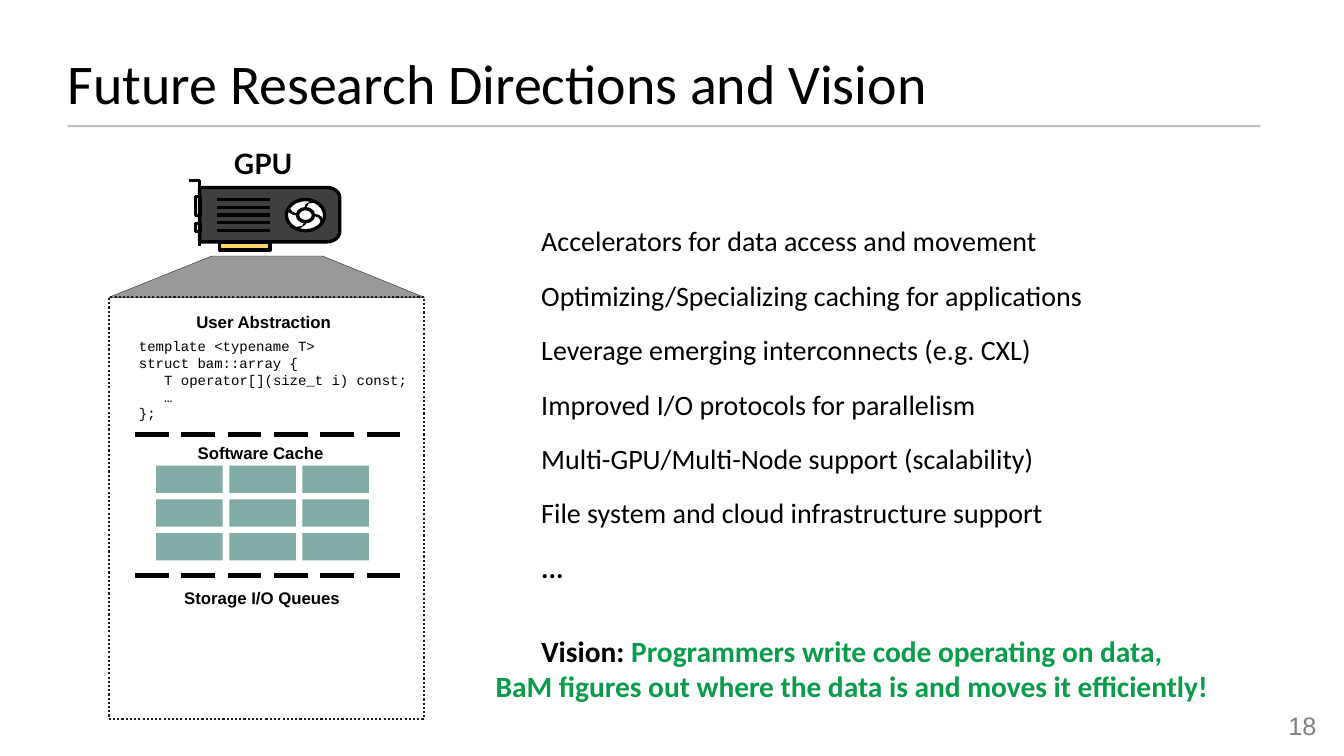
from math import cos, pi, sin

from lxml.etree import SubElement
from pptx import Presentation
from pptx.dml.color import RGBColor
from pptx.enum.dml import MSO_LINE
from pptx.enum.shapes import MSO_CONNECTOR, MSO_SHAPE
from pptx.enum.text import MSO_ANCHOR, MSO_AUTO_SIZE, PP_ALIGN
from pptx.oxml.ns import qn
from pptx.util import Inches, Pt

BLACK = RGBColor(0x00, 0x00, 0x00)
WHITE = RGBColor(0xFF, 0xFF, 0xFF)
GRAY = RGBColor(0x80, 0x80, 0x80)
CHARCOAL = RGBColor(0x1C, 0x1C, 0x1C)
CARD_GRAY = RGBColor(0x3F, 0x3F, 0x3F)
BEAM_GRAY = RGBColor(0x99, 0x99, 0x99)
CACHE_TEAL = RGBColor(0x81, 0xAC, 0xA6)
GOLD = RGBColor(0xFF, 0xD9, 0x65)
GREEN = RGBColor(0x08, 0x9C, 0x4B)
CARD_LINE = 2.38

presentation = Presentation()
presentation.slide_width = Inches(13.33)
presentation.slide_height = Inches(7.5)
slide = presentation.slides.add_slide(presentation.slide_layouts[5])


def add_text(box, lines, size, font="Calibri", bold=False, align=PP_ALIGN.LEFT, inset=0.1, shape=None):
    """Write lines, each a list of (text, colour) runs, into a text box or a given shape."""
    left, top, width, height = (Inches(value) for value in box)
    shape = shape or slide.shapes.add_textbox(left, top, width, height)
    shape.left, shape.top, shape.width, shape.height = left, top, width, height
    frame = shape.text_frame
    frame.word_wrap = True
    frame.auto_size = MSO_AUTO_SIZE.NONE
    frame.margin_left = frame.margin_right = Inches(inset)
    frame.margin_top = frame.margin_bottom = Inches(inset / 2)
    for index, runs in enumerate(lines):
        paragraph = frame.paragraphs[0] if index == 0 else frame.add_paragraph()
        paragraph.alignment = align
        for text, color in runs:
            run = paragraph.add_run()
            run.text = text
            run.font.name = font
            run.font.size = Pt(size)
            run.font.bold = bold
            run.font.color.rgb = color
    return frame


def style_shape(shape, fill, line, width, dash=None):
    """Set fill and outline; None leaves either one out."""
    shape.shadow.inherit = False
    if fill is None:
        shape.fill.background()
    else:
        shape.fill.solid()
        shape.fill.fore_color.rgb = fill
    if line is None:
        shape.line.fill.background()
    else:
        shape.line.color.rgb = line
        shape.line.width = Pt(width)
        shape.line.dash_style = dash


# Title
title_frame = add_text((0.67, 0.31, 12.42, 1), [[("Future Research Directions and Vision", BLACK)]],
                       40, inset=0, shape=slide.shapes.title)
title_frame.vertical_anchor = MSO_ANCHOR.MIDDLE

# Outlines: beam below the card, card body, mounting bracket, fan blades
beam = [(4.21, 2.95), (1.08, 2.95), (2.1, 2.54), (3.2, 2.54)]
corners = [(3.24, 2.3, pi / 2), (3.24, 1.96, 0)]
card = [(1.98, 1.86), (1.98, 2.4)]
for center_x, center_y, start in corners:
    angles = [start - step * pi / 12 for step in range(7)]
    card += [(center_x + 0.13 * cos(angle), center_y + 0.1 * sin(angle)) for angle in angles]
bracket = [(1.98, 2.44), (1.98, 1.79), (1.87, 1.79)]
right_blade = [(3.17, 2.22), (3.19, 2.23), (3.21, 2.19), (3.19, 2.15), (3.16, 2.13),
               (3.11, 2.12), (3.11, 2.14), (3.16, 2.16), (3.18, 2.19)]
top_blade = [(3.14, 2.01), (3.15, 2), (3.09, 1.99), (3.03, 2.03), (3.02, 2.06),
             (3.04, 2.06), (3.06, 2.02), (3.11, 2.01)]
blades = [right_blade, top_blade]
blades += [[(6.06 - x, 4.26 - y) for x, y in blade] for blade in blades]

# Preset shapes: cache cells, dotted frame, card contacts, ports, fan
presets = [(MSO_SHAPE.RECTANGLE, 1.55 + column * 0.725, 4.62 + row * 0.335, 0.66, 0.27,
            CACHE_TEAL, None, 0, None) for row in range(3) for column in range(3)]
presets += [
    (MSO_SHAPE.RECTANGLE, 1.08, 2.95, 3.13, 4.18, None, CHARCOAL, 1.5, MSO_LINE.ROUND_DOT),
    (MSO_SHAPE.RECTANGLE, 2.18, 2.4, 0.5, 0.08, GOLD, BLACK, CARD_LINE, None),
    (MSO_SHAPE.RECTANGLE, 1.94, 1.95, 0.05, 0.19, None, BLACK, CARD_LINE, None),
    (MSO_SHAPE.RECTANGLE, 1.94, 2.22, 0.05, 0.08, None, BLACK, CARD_LINE, None),
    (MSO_SHAPE.OVAL, 2.84, 1.98, 0.38, 0.31, WHITE, BLACK, CARD_LINE, None),
    (MSO_SHAPE.OVAL, 2.95, 2.07, 0.16, 0.13, WHITE, BLACK, CARD_LINE, None),
]

outlines = [(beam, True, BEAM_GRAY, CHARCOAL, 0.25), (card, True, CARD_GRAY, BLACK, CARD_LINE),
            (bracket, False, None, BLACK, CARD_LINE)]
blade_outlines = [(blade, True, BLACK, None, 0) for blade in blades]
for group, following in ((outlines, presets), (blade_outlines, [])):
    for points, closed, fill, line, width in group:
        corners = [(Inches(x), Inches(y)) for x, y in points]
        builder = slide.shapes.build_freeform(*corners[0])
        builder.add_line_segments(corners[1:], close=closed)
        style_shape(builder.convert_to_shape(), fill, line, width)
    for kind, left, top, width, height, *style in following:
        style_shape(slide.shapes.add_shape(kind, Inches(left), Inches(top), Inches(width),
                                           Inches(height)), *style)

# Straight lines: title rule, section dividers, card vents
lines = [(0.67, 12.5, 1.25, GRAY, 1.45, None)]
lines += [(1.34, 3.97, y, BLACK, 3, MSO_LINE.LONG_DASH) for y in (4.31, 5.71)]
lines += [(2.15, 2.68, 1.98 + vent * 0.076, BLACK, CARD_LINE, None) for vent in range(5)]
for start, end, y, color, width, dash in lines:
    connector = slide.shapes.add_connector(MSO_CONNECTOR.STRAIGHT, Inches(start), Inches(y),
                                           Inches(end), Inches(y))
    connector.line.color.rgb = color
    connector.line.width = Pt(width)
    connector.line.dash_style = dash
    properties = connector._element.spPr
    SubElement(properties, qn("a:effectLst"))
    if color == GRAY:
        SubElement(properties.find(".//" + qn("a:srgbClr")), qn("a:alpha"), val="50000")

# Labels of the GPU stack
gpu_frame = add_text((2.32, 1.45, 0.62, 0.33), [[("GPU", BLACK)]], 20, "Lato", True, inset=0)
gpu_frame.word_wrap = False
for left, top, width, label in ((1.74, 3.04, 1.75, "User Abstraction"),
                                (1.71, 4.34, 1.75, "Software Cache"),
                                (1.69, 5.78, 1.82, "Storage I/O Queues")):
    add_text((left, top, width, 0.3), [[(label, BLACK)]], 12, "Arial", True, PP_ALIGN.CENTER)

# Code sample, with its body indented by three characters
code = ["template <typename T>", "struct bam::array {", "T operator[](size_t i) const;", "…", "};"]
code_frame = add_text((1.28, 3.3, 3.02, 1.02), [[(line, BLACK)] for line in code], 10, "Courier New")
for paragraph in code_frame.paragraphs[2:4]:
    paragraph._p.get_or_add_pPr().set("marL", str(Pt(18)))

# Research directions
directions = [
    "Accelerators for data access and movement",
    "Optimizing/Specializing caching for applications",
    "Leverage emerging interconnects (e.g. CXL)",
    "Improved I/O protocols for parallelism",
    "Multi-GPU/Multi-Node support (scalability)",
    "File system and cloud infrastructure support",
    "...",
]
for row, direction in enumerate(directions):
    add_text((5.27, 2.17 + row * 0.54, 7.8, 0.68), [[(direction, BLACK)]], 20, bold=direction == "...")

# Vision statement and page number
vision = [[("Vision: ", BLACK), ("Programmers write code operating on data,", GREEN)],
          [("BaM figures out where the data is and moves it efficiently!", GREEN)]]
add_text((4.55, 6.23, 7.8, 0.81), vision, 21, bold=True, align=PP_ALIGN.CENTER)
add_text((12.68, 7, 0.63, 0.38), [[("18", GRAY)]], 18, "Arial")

presentation.save("out.pptx")
